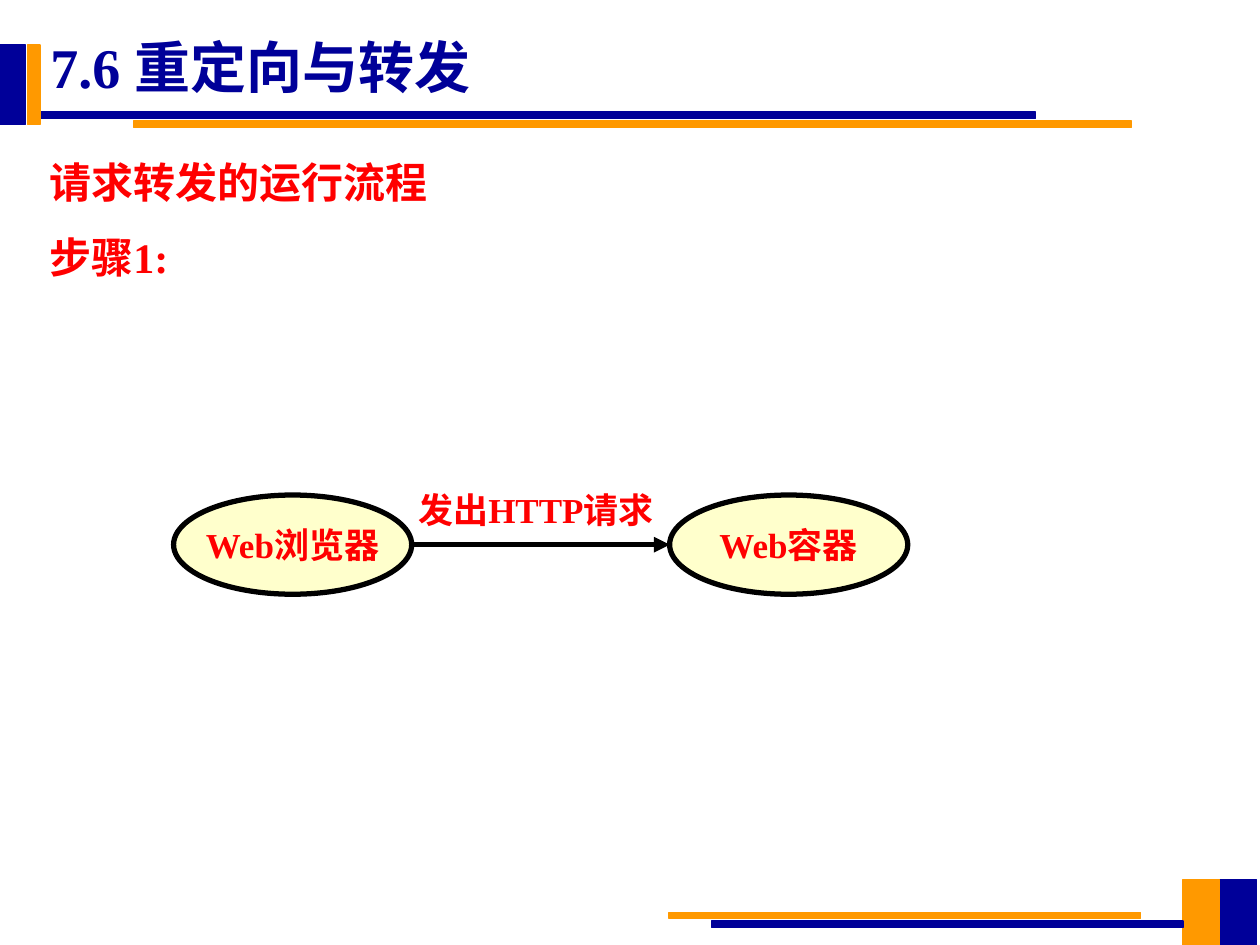
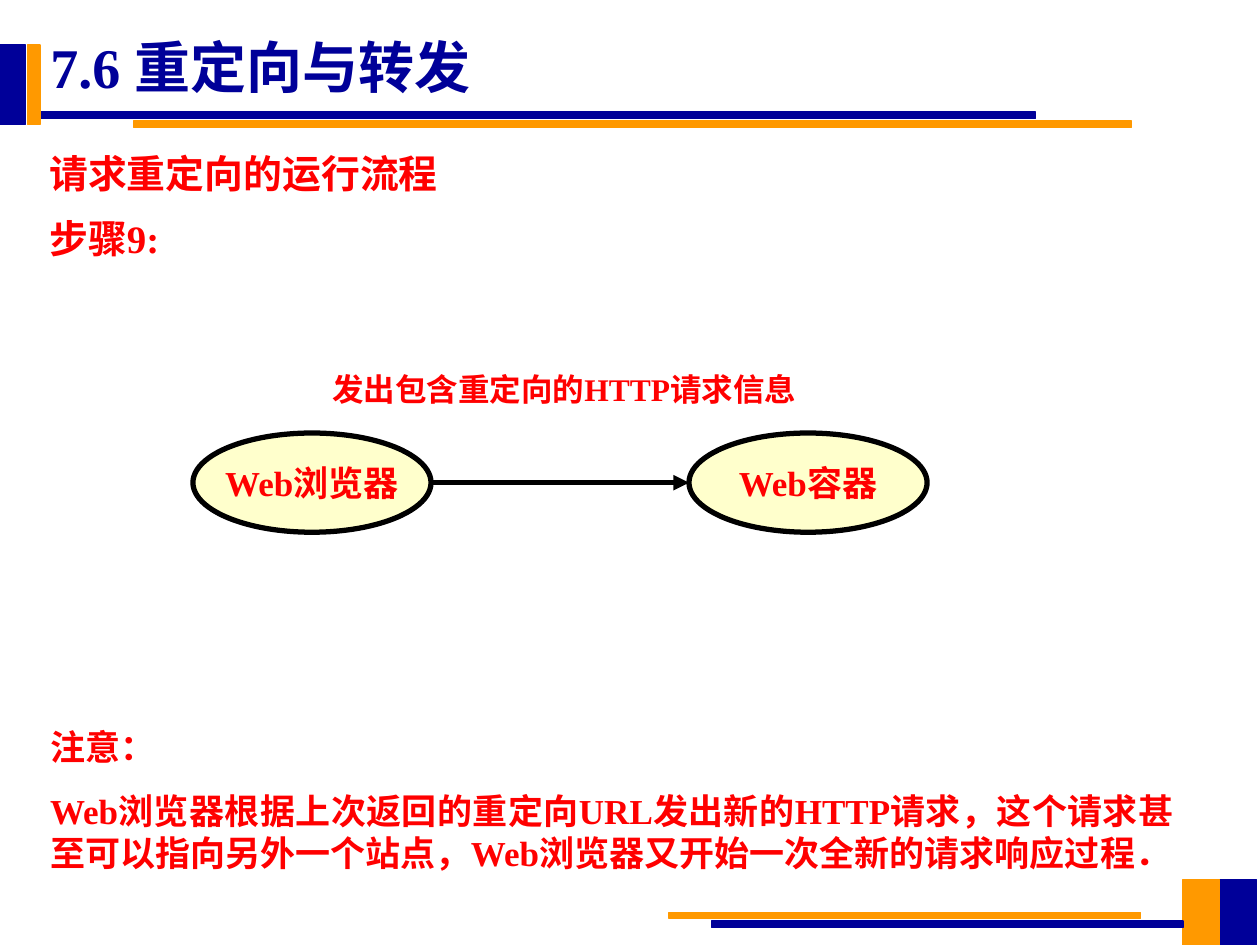
from lxml import etree
from pptx import Presentation
from pptx.dml.color import RGBColor
from pptx.enum.shapes import MSO_CONNECTOR, MSO_SHAPE
from pptx.enum.text import MSO_ANCHOR, MSO_AUTO_SIZE, PP_ALIGN
from pptx.oxml.ns import qn
from pptx.util import Cm, Pt

LEFT, CENTER, JUSTIFY = PP_ALIGN.LEFT, PP_ALIGN.CENTER, PP_ALIGN.JUSTIFY
TOP, MIDDLE = MSO_ANCHOR.TOP, MSO_ANCHOR.MIDDLE
NAVY, ORANGE, RED, CREAM, BLACK = "000099", "FF9900", "FF0000", "FFFFCC", "000000"
SERIF, SANS = "Times New Roman", "Noto Sans CJK SC"

# Content; places are left, top, width, height in centimetres
TITLE = "7.6 重定向与转发"
TITLE_PLACE = (0.76, 0.53, 24.5, 1.78)
ACTORS = ["Web浏览器", "Web容器"]
ACTOR_SIZE = (4.8, 2)
ACTOR_STEP = 10

BANDS = [
    (NAVY, (24.59, 17.73, 0.74, 1.32)),
    (ORANGE, (23.85, 17.73, 0.74, 1.32)),
    (ORANGE, (13.49, 18.39, 9.5, 0.13)),
    (NAVY, (14.35, 18.57, 9.5, 0.13)),
    (NAVY, (0.76, 2.26, 20.12, 0.13)),
    (ORANGE, (2.69, 2.44, 20.12, 0.13)),
    (NAVY, (0, 0.91, 0.51, 1.6)),
    (ORANGE, (0.56, 0.91, 0.25, 1.6)),
]

PAGES = [
    {
        "heading": "请求转发的运行流程",
        "step": "步骤1:",
        "body_height": 3.81,
        "body_size": 24,
        "line_spacing": 1.5,
        "flow_origin": (3.5, 9.98),
        "message": ("发出HTTP请求", 20, (8.18, 9.73, 5.8, 1.12)),
        "note": [],
    },
    {
        "heading": "请求重定向的运行流程",
        "step": "步骤9:",
        "body_height": 2.79,
        "body_size": 22.2,
        "line_spacing": 1.4,
        "flow_origin": (3.89, 8.73),
        "message": ("发出包含重定向的HTTP请求信息", 18, (6.45, 7.34, 11.6, 1.02)),
        "note": [
            "注意：",
            "Web浏览器根据上次返回的重定向URL发出新的HTTP请求，这个请求甚至可以指向"
            "另外一个站点，Web浏览器又开始一次全新的请求响应过程．",
        ],
    },
]
NOTE_PLACE = (0.76, 14.5, 23.14, 4.09)


def color(value):
    return RGBColor.from_string(value)


def lengths(place):
    return [Cm(value) for value in place]


def move(box, place):
    box.left, box.top, box.width, box.height = lengths(place)


def write(box, lines, size, ink=RED, align=LEFT, anchor=TOP, gap=0, spacing=None, wrap=True):
    """Fill a box with (text, font) lines in bold."""
    frame = box.text_frame
    frame.auto_size = MSO_AUTO_SIZE.NONE
    frame.word_wrap = wrap
    frame.vertical_anchor = anchor
    for index, (text, font) in enumerate(lines):
        para = frame.add_paragraph() if index else frame.paragraphs[0]
        para.alignment = align
        para.space_before = Pt(gap if index else 0)
        if spacing:
            para.line_spacing = spacing
        span = para.add_run()
        span.text = text
        span.font.name = font
        span.font.size = Pt(size)
        span.font.bold = True
        span.font.color.rgb = color(ink)


def add_filled(page, kind, place, fill, line, weight):
    shape = page.shapes.add_shape(kind, *lengths(place))
    shape.shadow.inherit = False
    shape.fill.solid()
    shape.fill.fore_color.rgb = color(fill)
    shape.line.color.rgb = color(line)
    shape.line.width = Pt(weight)
    return shape


def add_bands(layout, page):
    """Draw the bands once and hand them over to the shared layout."""
    for fill, place in BANDS:
        band = add_filled(page, MSO_SHAPE.RECTANGLE, place, fill, fill, 0.75)
        layout.shapes.element.append(band.element)


def add_body(page, content):
    body = page.placeholders[1]
    move(body, (0.74, 2.51, 23.95, content["body_height"]))
    write(body, [(content["heading"], SANS), (content["step"], SERIF)],
          content["body_size"], spacing=content["line_spacing"])
    for para in body.text_frame.paragraphs:
        properties = para._p.get_or_add_pPr()
        properties.set("marL", "0")
        properties.set("indent", "0")
        etree.SubElement(properties, qn("a:buNone"))


def add_arrow(page, start, end, level):
    arrow = page.shapes.add_connector(
        MSO_CONNECTOR.STRAIGHT, *lengths((start, level, end, level)))
    arrow.line.color.rgb = color(BLACK)
    arrow.line.width = Pt(3)
    etree.SubElement(arrow.line._get_or_add_ln(), qn("a:tailEnd"), type="triangle")
    etree.SubElement(arrow._element.spPr, qn("a:effectLst"))


def add_text(page, place, texts, size, **style):
    box = page.shapes.add_textbox(*lengths(place))
    write(box, [(text, SERIF) for text in texts], size, **style)


def add_flow(page, content):
    left, top = content["flow_origin"]
    width, height = ACTOR_SIZE
    for index, actor in enumerate(ACTORS):
        place = (left + index * ACTOR_STEP, top, width, height)
        oval = add_filled(page, MSO_SHAPE.OVAL, place, CREAM, BLACK, 3)
        write(oval, [(actor, SERIF)], 20, align=CENTER, anchor=MIDDLE, wrap=False)
    add_arrow(page, left + width, left + ACTOR_STEP, top + height / 2)
    message, size, place = content["message"]
    add_text(page, place, [message], size)


def main():
    deck = Presentation()
    deck.slide_width, deck.slide_height = Cm(25.4), Cm(19.05)
    layout = deck.slide_layouts[1]
    for index, content in enumerate(PAGES):
        page = deck.slides.add_slide(layout)
        if index == 0:
            add_bands(layout, page)
        move(page.shapes.title, TITLE_PLACE)
        write(page.shapes.title, [(TITLE, SERIF)], 32, ink=NAVY)
        add_body(page, content)
        add_flow(page, content)
        if content["note"]:
            add_text(page, NOTE_PLACE, content["note"], 20, align=JUSTIFY, gap=12.5)
    deck.save("out.pptx")


if __name__ == "__main__":
    main()
